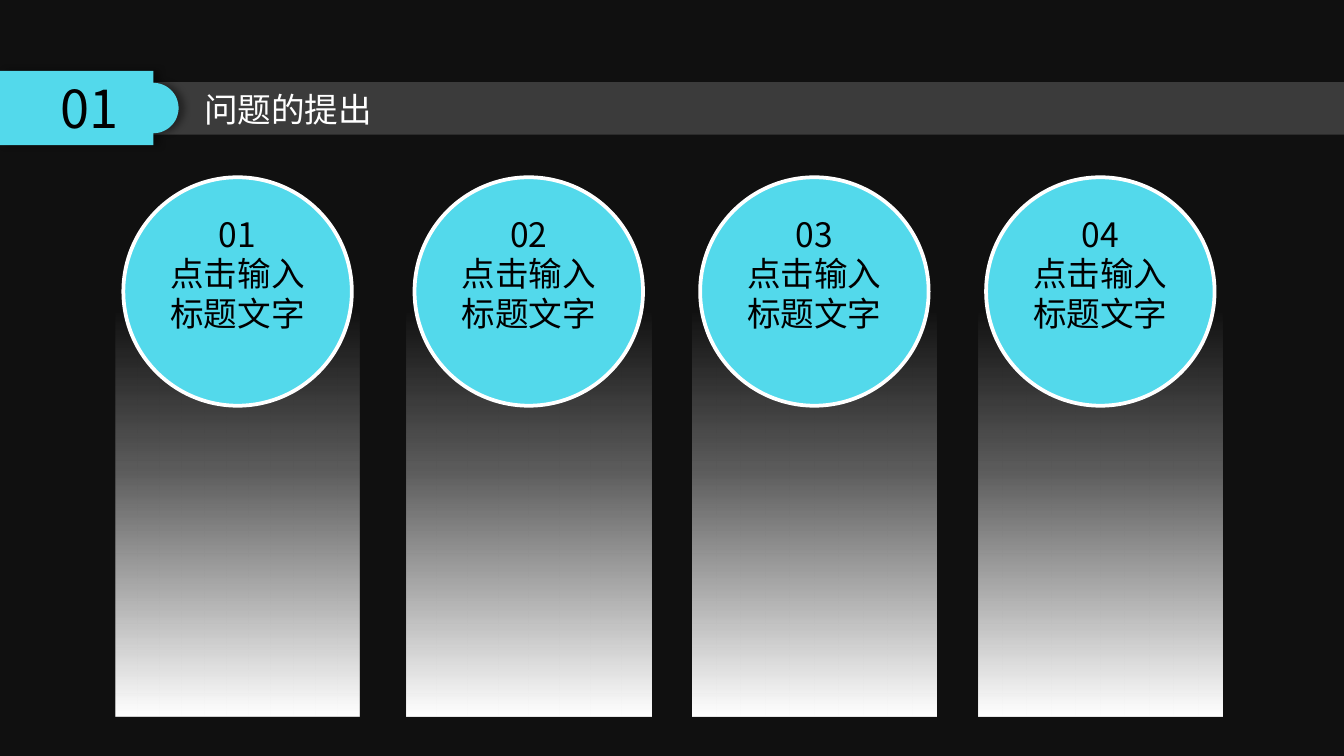
import math

import pptx
import pptx.dml.color
import pptx.enum.shapes
import pptx.enum.text
import pptx.oxml
import pptx.oxml.ns
import pptx.util

Pt = pptx.util.Pt
ALIGN = pptx.enum.text.PP_ALIGN
SHAPE = pptx.enum.shapes.MSO_SHAPE
NS = pptx.oxml.ns.nsdecls("a")
qn = pptx.oxml.ns.qn


def rgb(value):
    return pptx.dml.color.RGBColor.from_string(value)


def write(sp, text, size=18, font="Noto Sans CJK SC", color="000000",
          align=ALIGN.CENTER, leading=None, insets=(0, 0, 0, 0), wrap=True):
    """Fill a shape with one paragraph per line of text."""
    tf = sp.text_frame
    tf.word_wrap = wrap
    tf.auto_size = pptx.enum.text.MSO_AUTO_SIZE.NONE
    tf.vertical_anchor = pptx.enum.text.MSO_ANCHOR.MIDDLE
    tf.margin_left, tf.margin_top, tf.margin_right, tf.margin_bottom = map(Pt, insets)
    for i, line in enumerate(text.split("\n")):
        p = tf.paragraphs[0] if i == 0 else tf.add_paragraph()
        p.alignment = align
        if leading:
            p.line_spacing = Pt(leading)
        r = p.add_run()
        r.text = line
        r.font.size = Pt(size)
        r.font.name = font
        r.font.color.rgb = rgb(color)
        ea = pptx.oxml.parse_xml(f'<a:ea {NS} typeface="{font}"/>')
        r.font._element.find(qn("a:latin")).addnext(ea)


class Deck:
    accent = "53D9EB"
    white = "FFFFFF"
    background = "101010"

    def __init__(self, width, height):
        self.prs = pptx.Presentation()
        self.prs.slide_width, self.prs.slide_height = Pt(width), Pt(height)
        self.s = self.prs.slides.add_slide(self.prs.slide_layouts[5])
        fill = self.s.background.fill
        fill.solid()
        fill.fore_color.rgb = rgb(self.background)

    def paint(self, sp, color, line=None):
        sp.shadow.inherit = False
        sp.fill.solid()
        sp.fill.fore_color.rgb = rgb(color)
        if line:
            sp.line.color.rgb = rgb(line)
            sp.line.width = Pt(2)
        else:
            sp.line.fill.background()

    def shape(self, kind, x, y, w, h, color, line=None):
        sp = self.s.shapes.add_shape(kind, Pt(x), Pt(y), Pt(w), Pt(h))
        self.paint(sp, color, line)
        return sp

    def band(self, x, y, w, h, alpha):
        sp = self.shape(SHAPE.RECTANGLE, x, y, w, h, self.white)
        clr = sp._element.spPr.find(qn("a:solidFill"))[0]
        clr.append(pptx.oxml.parse_xml(f'<a:alpha {NS} val="{alpha * 1000}"/>'))

    def tab(self, y, h, edge, radius, text):
        """Block at the left slide edge with a half-round bump and a soft shadow."""
        mid = y + h / 2
        angles = [math.radians(a) for a in range(-90, 91, 5)]
        points = [(edge, y)]
        points += [(edge + radius * math.cos(a), mid + radius * math.sin(a)) for a in angles]
        points += [(edge, y + h), (0, y + h)]
        builder = self.s.shapes.build_freeform(0, Pt(y))
        builder.add_line_segments([(Pt(px), Pt(py)) for px, py in points], close=True)
        sp = builder.convert_to_shape()
        self.paint(sp, self.accent)
        sp._element.spPr.find(qn("a:effectLst")).append(pptx.oxml.parse_xml(
            f'<a:outerShdw {NS} blurRad="{Pt(4)}" dist="{Pt(3)}" dir="0" algn="l" rotWithShape="0">'
            '<a:srgbClr val="000000"><a:alpha val="40000"/></a:srgbClr></a:outerShdw>'))
        write(sp, text, size=28, font="Noto Sans CJK JP")

    def title(self, x, y, w, h, text):
        sp = self.s.shapes.title
        sp.left, sp.top, sp.width, sp.height = Pt(x), Pt(y), Pt(w), Pt(h)
        self.s.shapes._spTree.append(sp._element)  # bring in front of the band
        write(sp, text, color=self.white, align=ALIGN.LEFT, insets=(7.2, 0, 7.2, 0), wrap=False)

    def column(self, x, y, w, h):
        """Panel that fades from clear at the top to white at the bottom."""
        sp = self.shape(SHAPE.RECTANGLE, x, y, w, h, self.white)
        stops = "".join(
            f'<a:gs pos="{pos * 1000}"><a:srgbClr val="{self.white}">'
            f'<a:alpha val="{alpha * 1000}"/></a:srgbClr></a:gs>'
            for pos, alpha in ((17, 0), (50, 32), (100, 100)))
        solid = sp._element.spPr.find(qn("a:solidFill"))
        solid.addnext(pptx.oxml.parse_xml(
            f'<a:gradFill {NS} rotWithShape="1"><a:gsLst>{stops}</a:gsLst>'
            '<a:lin ang="5400000" scaled="0"/></a:gradFill>'))
        solid.getparent().remove(solid)

    def circle(self, x, y, d, text):
        sp = self.shape(SHAPE.OVAL, x, y, d, d, self.accent, line=self.white)
        write(sp, text, leading=21.4, insets=(0, 0, 0, 19))


def main():
    deck = Deck(720, 405)

    # Header
    deck.band(0, 44, 720, 28.2, alpha=18)
    deck.tab(38, 39.8, edge=82.2, radius=13.5, text="01")
    deck.title(102.2, 43.8, 105, 28.8, "问题的提出")

    # Four topics
    panel_w, circle_d = 131, 122.4
    for n, x in enumerate((61.8, 217.8, 370.8, 524), start=1):
        deck.column(x, 122.4, panel_w, 261.4)
        deck.circle(x + (panel_w - circle_d) / 2, 95, circle_d, f"{n:02d}\n点击输入\n标题文字")

    deck.prs.save("out.pptx")


if __name__ == "__main__":
    main()
